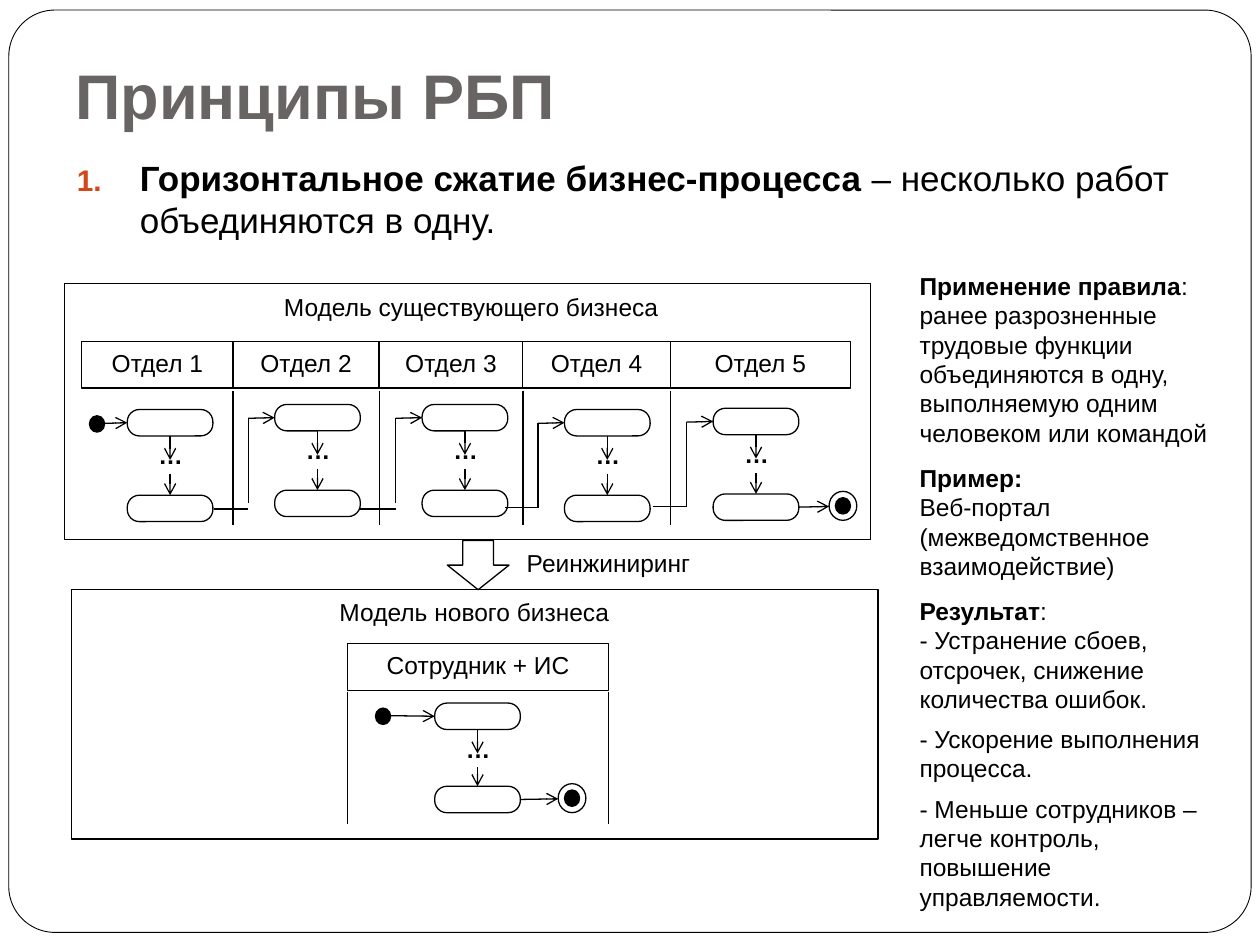
from collections import namedtuple
from itertools import pairwise

from lxml.etree import SubElement
from pptx import Presentation
from pptx.dml.color import RGBColor
from pptx.enum.shapes import MSO_CONNECTOR as Link, MSO_SHAPE as Kind
from pptx.enum.text import MSO_ANCHOR as Anchor, MSO_AUTO_SIZE as Fit, PP_ALIGN as Align
from pptx.oxml.ns import qn
from pptx.util import Inches, Pt

# Grid of 10 columns by 7.5 rows of square cells
CELL = Inches(1)
BLACK, WHITE, GREY, ORANGE = "000000", "FFFFFF", "696464", "D34817"
LABEL_INSETS = (0.02, 0.05, 0.02, 0.05)
TEXT_INSETS = (0.1, 0.05, 0.1, 0.05)
color_of = RGBColor.from_string

# A wire runs between two points; begin and end hold (shape, side) joints
Wire = namedtuple("Wire", "start stop arrow begin end", defaults=(False, None, None))

deck = Presentation()
deck.slide_width, deck.slide_height = 10 * CELL, int(7.5 * CELL)
page = deck.slides.add_slide(deck.slide_layouts[1])


def write(frame, paragraphs, size=14, color=BLACK, align=Align.LEFT, anchor=Anchor.TOP,
          insets=TEXT_INSETS, line_spacing=1.0, fit=Fit.NONE):
    """Fill a frame with paragraphs given as (space before, bold part, plain part)."""
    frame.word_wrap, frame.auto_size, frame.vertical_anchor = True, fit, anchor
    (frame.margin_left, frame.margin_top,
     frame.margin_right, frame.margin_bottom) = [int(inset * CELL) for inset in insets]
    for number, (before, *parts) in enumerate(paragraphs):
        para = frame.add_paragraph() if number else frame.paragraphs[0]
        para.alignment, para.line_spacing = align, line_spacing
        para.space_before = Pt(before)
        for text, bold in zip(parts, (True, False)):
            if text:
                span = para.add_run()
                span.text = text
                span.font.name, span.font.size, span.font.bold = "Arial", Pt(size), bold
                span.font.color.rgb = color_of(color)


def draw(kind, *place, fill=WHITE, line=0.75, rounding=None, bold="", plain="", **text_format):
    """Draw a preset shape at left, top, width, height, with an optional centred label."""
    shape = page.shapes.add_shape(kind, *[int(length * CELL) for length in place])
    shape.shadow.inherit = False
    shape.fill.solid()
    shape.fill.fore_color.rgb = color_of(fill)
    if line:
        shape.line.color.rgb = color_of(BLACK)
        shape.line.width = Pt(line)
    else:
        shape.line.fill.background()
    if rounding is not None:
        shape.adjustments[0] = rounding
    if bold or plain:
        write(shape.text_frame, [(0, bold, plain)], align=Align.CENTER, **text_format)
    return shape


# Page frame, behind everything
border = draw(Kind.ROUNDED_RECTANGLE, 0.07, 0.08, 9.86, 7.32, line=0.5, rounding=0.05)
border.element.getparent().insert(2, border.element)

# Title and numbered principle
title, body = page.shapes.title, page.placeholders[1]
for holder, place in ((title, (0.5, 0.26, 8.5, 0.89)), (body, (0.51, 1.19, 9, 0.92))):
    holder.left, holder.top, holder.width, holder.height = [int(n * CELL) for n in place]
write(title.text_frame, [(0, "Принципы РБП")], size=36, color=GREY,
      anchor=Anchor.BOTTOM, insets=(0.1, 0.05, 0.1, 0.1))
write(body.text_frame, [(5.8, "Горизонтальное сжатие бизнес-процесса ",
                         "– несколько работ объединяются в одну.")], size=20)
numbering = body.text_frame.paragraphs[0]._p.get_or_add_pPr()
numbering.set("marL", str(CELL // 2))
numbering.set("indent", str(-CELL // 2))
SubElement(SubElement(numbering, qn("a:buClr")), qn("a:srgbClr"), val=ORANGE)
SubElement(numbering, qn("a:buSzPct"), val="85000")
SubElement(numbering, qn("a:buFont"), typeface="Arial")
SubElement(numbering, qn("a:buAutoNum"), type="arabicPeriod")

# Panels, captions and the arrow between them
draw(Kind.RECTANGLE, 0.57, 4.68, 6.4, 1.98)
draw(Kind.RECTANGLE, 0.51, 2.25, 6.4, 2.03)
for caption, place in (("Модель существующего бизнеса", (0.94, 2.32, 5.6, 0.33)),
                       ("Модель нового бизнеса", (0.96, 4.74, 5.61, 0.25)),
                       ("Реинжиниринг", (4.1, 4.35, 1.46, 0.26))):
    draw(Kind.RECTANGLE, *place, line=None, plain=caption, insets=(0, 0, 0, 0))
draw(Kind.DOWN_ARROW, 3.55, 4.29, 0.49, 0.39)

# Lane headers and dividers
wires = []
lane_edges = (0.65, 1.85, 3.01, 4.15, 5.32, 6.75)
for number, (left, right) in enumerate(pairwise(lane_edges), 1):
    draw(Kind.RECTANGLE, left, 2.71, right - left, 0.37,
         plain=f"Отдел {number}", insets=LABEL_INSETS)
wires += [Wire((x, 3.1), (x, 4.17)) for x in lane_edges[1:-1]]
draw(Kind.RECTANGLE, 2.76, 5.11, 2.07, 0.37, plain="Сотрудник + ИС", insets=LABEL_INSETS)
wires += [Wire((x, 5.49), (x, 6.54)) for x in (2.76, 4.83)]

# Activities: left, top and drop to the last step; the final one is the new process
lanes = [(1.01, 3.25, 0.68), (2.18, 3.21, 0.68), (3.35, 3.21, 0.68),
         (4.48, 3.25, 0.68), (5.66, 3.24, 0.68), (3.45, 5.58, 0.66)]
steps = []
for x, y, drop in lanes:
    first, last = [draw(Kind.ROUNDED_RECTANGLE, x, top, 0.68, 0.21, rounding=0.46)
                   for top in (y, y + drop)]
    draw(Kind.RECTANGLE, x + 0.21, y + 0.31, 0.27, 0.16, line=None, bold="…",
         insets=(0, 0, 0, 0), line_spacing=0.7)
    middle = x + 0.34
    wires += [Wire((middle, y + 0.21), (middle, y + 0.4), True, begin=(first, 2)),
              Wire((middle, y + 0.51), (middle, y + drop), True, end=(last, 0))]
    steps.append((first, last))

# Hand-overs between departments: exit, rise, entry
exits = ((1.7, 4.04), (2.85, 4.04), (4.01, 4.03), (5.18, 4.02))
for (exit_x, exit_y), (x, y, _), (first, _) in zip(exits, lanes[1:5], steps[1:5]):
    rise = x - 0.21
    wires += [Wire((exit_x, exit_y), (rise, exit_y)),
              Wire((rise, y + 0.78), (rise, y + 0.11)),
              Wire((rise, y + 0.11), (x, y + 0.11), True, end=(first, 1))]

# Start and end nodes of both processes
for x, y, entry in ((0.71, 3.3, 0), (2.98, 5.62, 5)):
    draw(Kind.OVAL, x, y, 0.12, 0.13, fill=BLACK)
    wires.append(Wire((x + 0.12, y + 0.06), (lanes[entry][0], y + 0.06), True,
                      end=(steps[entry][0], 1)))
for x, y, final in ((6.58, 3.9, 4), (4.43, 6.22, 5)):
    draw(Kind.OVAL, x, y, 0.22, 0.23)
    draw(Kind.OVAL, x + 0.05, y + 0.05, 0.12, 0.13, fill=BLACK)
    wires.append(Wire((x - 0.24, y + 0.12), (x, y + 0.12), True, begin=(steps[final][1], 3)))

# All wires, on top of the shapes
for wire in wires:
    points = [int(length * CELL) for length in wire.start + wire.stop]
    connector = page.shapes.add_connector(Link.STRAIGHT, *points)
    if wire.begin:
        connector.begin_connect(*wire.begin)
    if wire.end:
        connector.end_connect(*wire.end)
    connector.line.color.rgb = color_of(BLACK)
    connector.line.width = Pt(0.75)
    if wire.arrow:
        SubElement(connector.line._get_or_add_ln(), qn("a:tailEnd"), type="arrow")
    SubElement(connector.element.spPr, qn("a:effectLst"))

# Side notes
notes = page.shapes.add_textbox(*[int(n * CELL) for n in (7.2, 2.1, 2.63, 5.19)])
write(notes.text_frame, [
    (8.8, "Применение правила", ": ранее разрозненные трудовые функции объединяются "
                                "в одну, выполняемую одним человеком или командой"),
    (8.8, "Пример:"),
    (0, "", "Веб-портал (межведомственное взаимодействие)"),
    (8.8, "Результат", ":"),
    (0, "", "- Устранение сбоев, отсрочек, снижение количества ошибок."),
    (6.1, "", "- Ускорение выполнения процесса."),
    (6.1, "", "- Меньше сотрудников – легче контроль, повышение управляемости."),
], fit=Fit.SHAPE_TO_FIT_TEXT)

deck.save("out.pptx")
